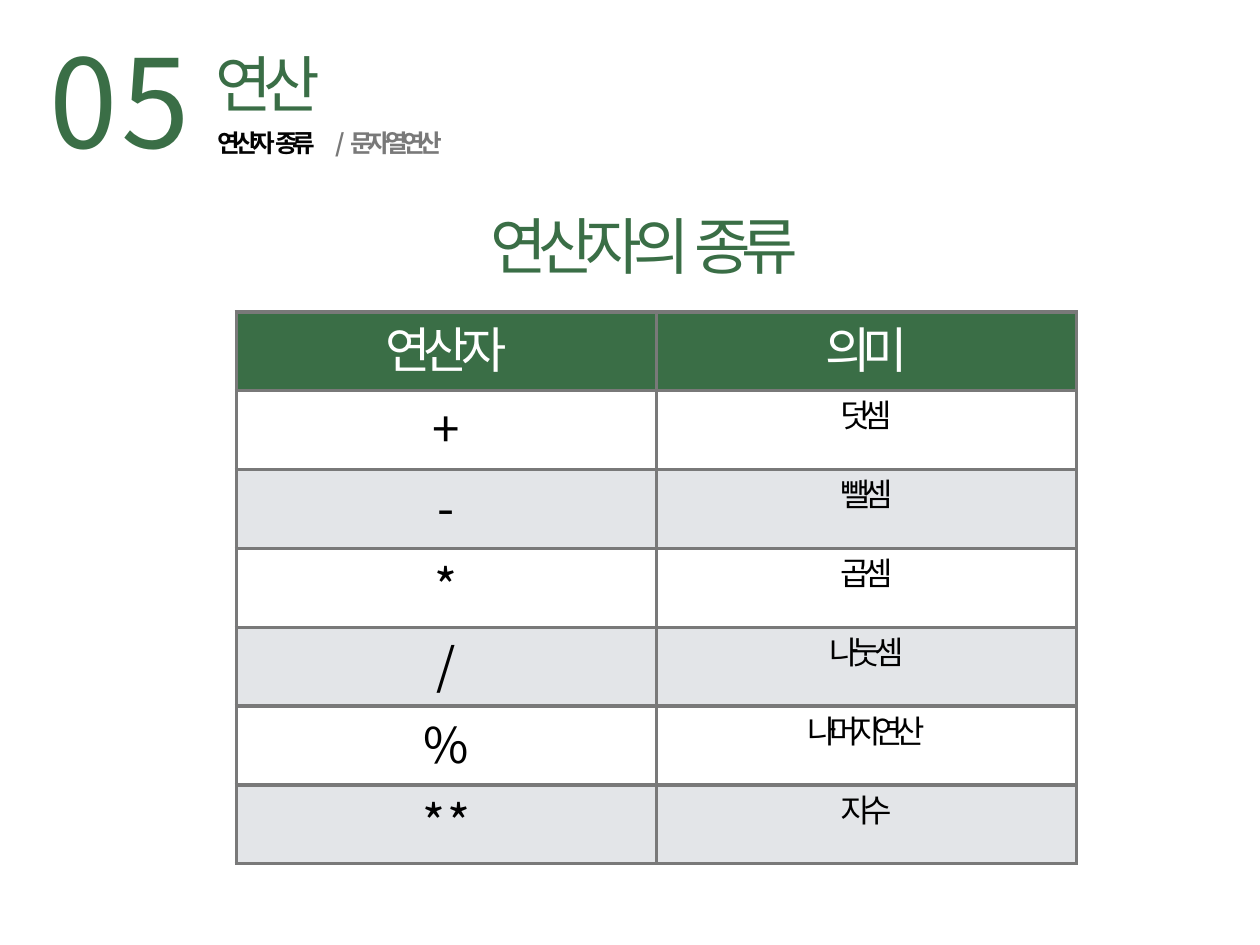
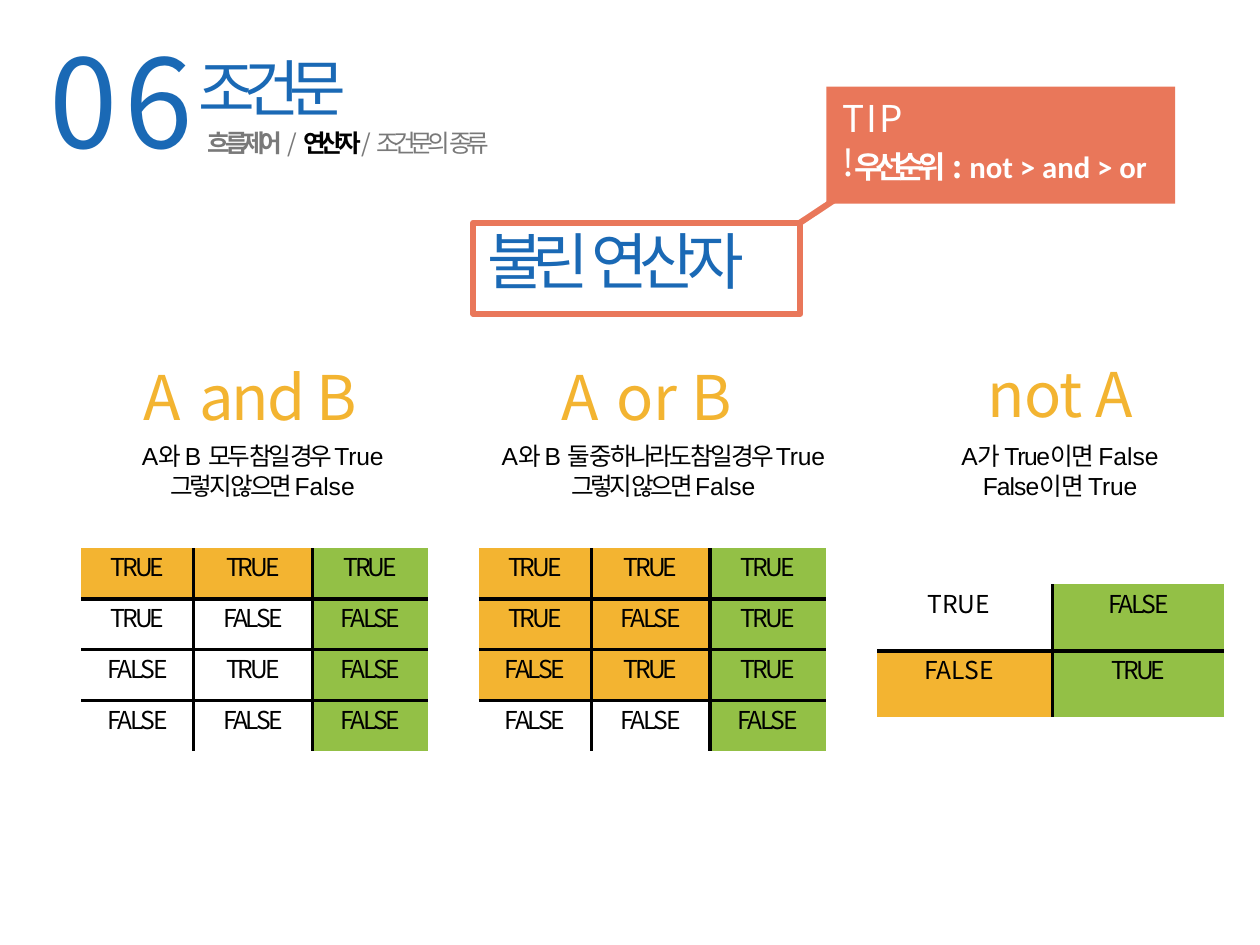
from itertools import product

from lxml.etree import SubElement as Sub
from pptx import Presentation
from pptx.dml.color import RGBColor
from pptx.enum.shapes import MSO_CONNECTOR as Link, MSO_SHAPE as Shape
from pptx.enum.text import MSO_ANCHOR as Anchor, MSO_AUTO_SIZE as Fit, PP_ALIGN as Align
from pptx.oxml.ns import qn
from pptx.util import Pt

KR, ARIAL, CALIBRI = "Noto Sans CJK KR", "Arial", "Calibri"
GREEN, BLUE, CORAL = "3A6E46", "1A69B5", "E9775A"
GOLD, LIME, GRAY, PALE = "F3B431", "93C046", "797979", "E3E5E8"
BLACK, WHITE = "000000", "FFFFFF"
MID = Align.CENTER


def rgb(code):
    """Turn a hex string into a colour."""
    return RGBColor.from_string(code)


def points(box):
    """Turn numbers into point lengths."""
    return [Pt(n) for n in box]


def write(para, runs, size, color, align=Align.LEFT, gap=0, lead=0):
    """Fill a paragraph with (text, spacing, font, colour, bold) runs."""
    para.alignment = align
    para.space_before = Pt(gap)
    if lead:
        para._p.get_or_add_pPr().set("marL", str(Pt(lead)))
    for text, space, *rest in runs:
        face, tint, bold = (rest + [None] * 3)[:3]
        run = para.add_run()
        run.text = text
        font = run.font
        font.size, font.bold, font.name = Pt(size), bool(bold), face or KR
        font.color.rgb = rgb(tint or color)
        props = run._r.get_or_add_rPr()
        props.set("spc", str(round(space * 100)))
        Sub(props, qn("a:ea"), typeface=face or KR)


def setup(frame):
    """Strip margins from a text frame and let it wrap."""
    frame.word_wrap = True
    frame.auto_size = Fit.NONE
    frame.vertical_anchor = Anchor.TOP
    frame.margin_left = frame.margin_right = 0
    frame.margin_top = frame.margin_bottom = 0
    return frame


def label(slide, box, runs, size, color, **style):
    """Add a text box with one paragraph and return its frame."""
    frame = setup(slide.shapes.add_textbox(*points(box)).text_frame)
    write(frame.paragraphs[0], runs, size, color, **style)
    return frame


def head(slide, color, number, box, name, crumbs, lead, gap, stop=None):
    """Place the chapter number, the chapter name and its crumbs."""
    label(slide, (40, 21, 120, 131), number, 100, color)
    frame = label(slide, box, [name], 50, color)
    para = frame.add_paragraph()
    write(para, crumbs, 20, GRAY, gap=gap, lead=lead)
    if stop:
        tabs = Sub(para._p.get_or_add_pPr(), qn("a:tabLst"))
        Sub(tabs, qn("a:tab"), pos=str(Pt(stop)), algn="l")


def title(slide, box, runs, color, **style):
    """Move and format the title placeholder."""
    shape = slide.shapes.title
    shape.left, shape.top, shape.width, shape.height = points(box)
    write(setup(shape.text_frame).paragraphs[0], runs, 50, color, **style)
    return shape


def grid(slide, box, cols, count):
    """Add a plain table with equal rows."""
    table = slide.shapes.add_table(count, len(cols), *points(box)).table
    props = table._tbl.tblPr
    props.find(qn("a:tableStyleId")).text = "{2D5ABB26-0587-4C30-8999-92F81FD0307C}"
    table.first_row = table.horz_banding = False
    for col, width in zip(table.columns, cols):
        col.width = Pt(width)
    for row in table.rows:
        row.height = Pt(box[3] / count)
    return table


def fill(cell, run, size, color, back, gap, sides, edge):
    """Format one cell with its text, fill and borders."""
    cell.margin_left = cell.margin_right = 0
    cell.margin_top = cell.margin_bottom = 0
    write(cell.text_frame.paragraphs[0], [run], size, color, align=MID, gap=gap)
    if back:
        cell.fill.solid()
        cell.fill.fore_color.rgb = rgb(back)
    else:
        cell.fill.background()
    props = cell._tc.get_or_add_tcPr()
    for spot, side in enumerate(sides):
        line = Sub(props, qn("a:ln" + side), w=str(Pt(3)))
        Sub(Sub(line, qn("a:solidFill")), qn("a:srgbClr"), val=edge)
        props.insert(spot, line)


def signs(slide, box):
    """Place the table of operators and meanings."""
    rows = [
        (("연산자", -5.7), ("의미", -7)),
        (("+", 0), ("덧셈", -5.8)),
        (("-", 0), ("뺄셈", -5.2)),
        (("*", 0), ("곱셈", -5.6)),
        (("/", 0), ("나눗셈", -5.5)),
        (("%", 0), ("나머지연산", -6)),
        (("**", 1.4), ("지수", -6.2)),
    ]
    table = grid(slide, box, [box[2] / 2] * 2, len(rows))
    for i, row in enumerate(rows):
        back = GREEN if i == 0 else None if i % 2 else PALE
        for j, run in enumerate(row):
            small = i and j
            fill(table.cell(i, j), run, 26 if small else 40, BLACK if i else WHITE,
                 back, 13 if small else 4 if i else 2.5, "LRTB", GRAY)


def truth(slide, box, cols, rows, gap=6):
    """Place a truth table whose last column is the result."""
    table = grid(slide, box, cols, len(rows))
    last, end = len(cols) - 1, len(rows) - 1
    for i, row in enumerate(rows):
        for j, value in enumerate(row):
            tests = (("L", j > 0), ("R", j < last), ("T", i > 0), ("B", i < end))
            sides = [side for side, on in tests if on]
            back = LIME if j == last else GOLD if row[-1] else None
            wide = last == 1 and j == 0
            space = 0 if wide else -2.4 if value else -1.9
            cell = table.cell(i, j)
            fill(cell, (str(value).upper(), space), 20, BLACK, back, gap, sides, BLACK)
            if wide:
                cell.margin_right = Pt(10)


def rule(slide, box, name, lines, lead=0, align=Align.LEFT, gap=6, pitch=1.0):
    """Place an expression over the lines that explain it."""
    frame = label(slide, box, name, 50, GOLD, lead=lead, align=align)
    for i, runs in enumerate(lines):
        para = frame.add_paragraph()
        write(para, runs, 20, BLACK, align=MID, gap=1 if i else gap)
        para.line_spacing = pitch


def tip(slide, box, start):
    """Place the tip panel and the line that ties it to the title."""
    x, y, w, h = box
    panel = slide.shapes.add_shape(Shape.RECTANGLE, *points(box))
    panel.shadow.inherit = False
    panel.fill.solid()
    panel.fill.fore_color.rgb = rgb(CORAL)
    panel.line.fill.background()
    label(slide, (x + 13, y + 7, 60, 40), [("TIP!", 1.9)], 30, WHITE)
    words = [("우선순위 ", -6), (" : ", 0.1)]
    words += [(word, 0, CALIBRI) for word in ("not ", "> ", "and ", "> ", "or")]
    bold = [(text, space, *(face or [KR]), WHITE, True) for text, space, *face in words]
    label(slide, (x + 23, y + 49.5, w - 36, 32), bold, 25, WHITE)
    ends = points((*start, x + 21, y + h - 12.5))
    tie = slide.shapes.add_connector(Link.STRAIGHT, *ends)
    tie.line.color.rgb = rgb(CORAL)
    tie.line.width = Pt(5)
    Sub(tie._element.spPr, qn("a:effectLst"))


def signpage(slide):
    """Build the slide on kinds of operators."""
    title(slide, (399, 169, 274, 66), [("연산자의 ", -7.5), ("종류", -7.8)], GREEN)
    crumbs = [("연산자 ", -4.3, KR, "030303", True), ("종류\t", -4.6, KR, "030303", True),
              ("/ ", -0.2, KR, GRAY, True), ("문자열 연산", -4.5, KR, GRAY, True)]
    head(slide, GREEN, [("05", 3.6)], (175, 37, 191, 93), ("연산", -7.2),
         crumbs, 2, 7, 96)
    signs(slide, (192, 253.5, 683, 448.5))


def boolpage(slide):
    """Build the slide on boolean operators."""
    shape = title(slide, (384.5, 181, 266, 74), [("불린 ", -9.3), ("연산자", -7.1)],
                  BLUE, gap=1.4, lead=11.5)
    shape.line.color.rgb = rgb(CORAL)
    shape.line.width = Pt(5)
    crumbs = [("흐름제어", -4.5, KR, GRAY, True), (" / ", 0.2),
              ("연산자 ", -4.3, KR, BLACK, True), ("/ ", 0.2),
              ("조건문의 ", -4.8), ("종류", -4.6)]
    head(slide, BLUE, [("0", 5.9), ("6", 0.2)], (161, 41, 248, 89), ("조건문", -9.1),
         crumbs, 8, 3)
    tip(slide, (671.5, 70.5, 283.5, 95), (649.5, 181.5))

    start = [("A", -1.4, ARIAL), ("와 ", -1.4), ("B ", 0, ARIAL)]
    close = [("그렇지 않으면 ", -2.7), ("False", 0, ARIAL)]
    yes = ("True", -0.2, ARIAL)
    rule(slide, (106, 292, 215, 117), [("A ", 1.7), ("and ", -1.8), ("B", 3)],
         [start + [("모두 참일 경우 ", -2.7), yes], close], lead=11)
    rule(slide, (390, 292, 298, 117), [("A ", 1.7), ("or ", 0.1), ("B", 3)],
         [start + [("둘 중 하나라도 참일 경우 ", -2.7), yes], close], lead=66)
    rule(slide, (778, 289, 167, 120), [("not ", -0.9), ("A", 1.7)],
         [[("A", -1.4, ARIAL), ("가 ", -1.4), ("True", -1.1, ARIAL), ("이면 ", -1.1),
           ("False ", 0, ARIAL), ("False", -0.8, ARIAL), ("이면 ", -0.8), yes]],
         align=MID, gap=8, pitch=1.04)

    pairs = list(product((True, False), repeat=2))
    cols = (91.5, 96.5, 94)
    truth(slide, (66, 445.5, 282, 165), cols, [(a, b, a and b) for a, b in pairs])
    truth(slide, (389, 445.5, 282, 165), cols, [(a, b, a or b) for a, b in pairs])
    truth(slide, (713, 475, 282, 108), (142.5, 139.5),
          [(a, not a) for a in (True, False)], gap=13)


def main():
    """Build both slides and save the deck."""
    deck = Presentation()
    deck.slide_width, deck.slide_height = points((1024, 768))
    for build in (signpage, boolpage):
        build(deck.slides.add_slide(deck.slide_layouts[5]))
    deck.save("out.pptx")


if __name__ == "__main__":
    main()
